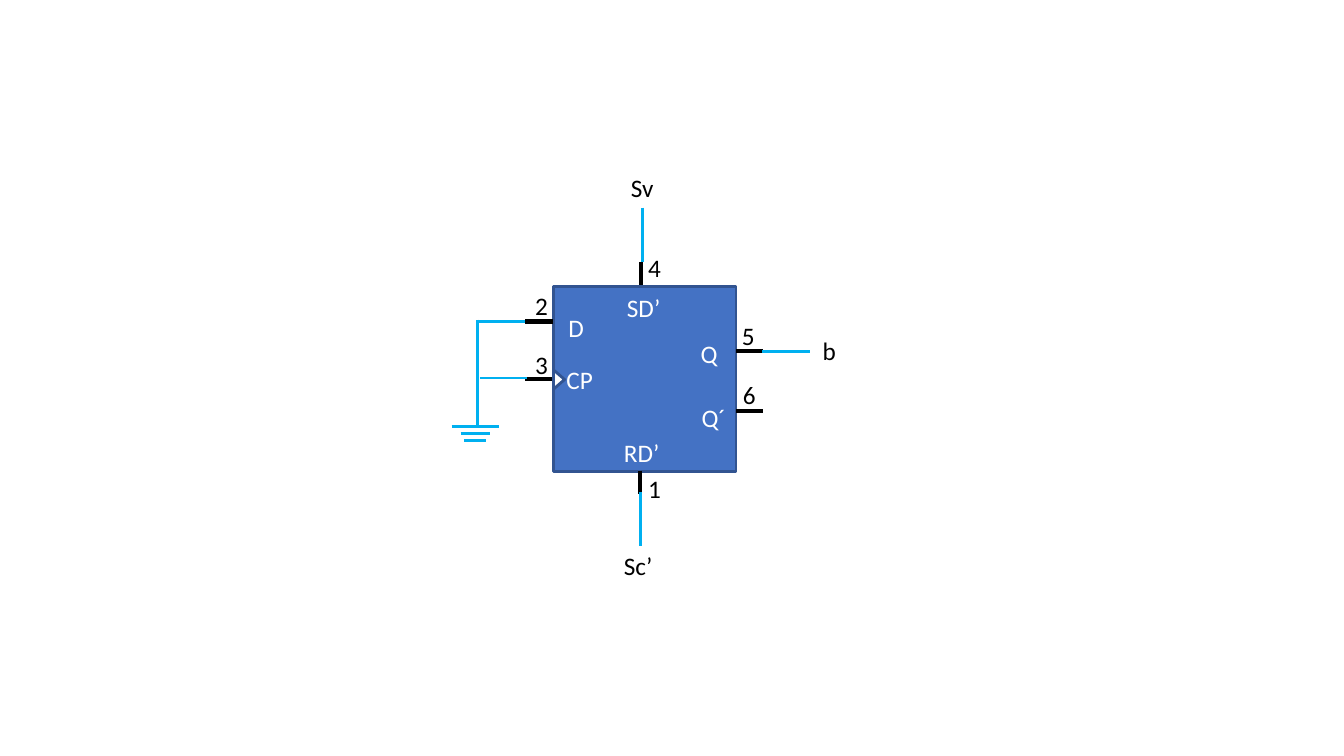
import pptx
import pptx.dml.color
import pptx.enum.shapes
import pptx.oxml
import pptx.util

SHAPE = pptx.enum.shapes.MSO_SHAPE
CELL = 0.1
BLUE, EDGE, WIRE, BLACK, WHITE = "4472C4", "325491", "00B0F0", "000000", "FFFFFF"


def color(value):
    return pptx.dml.color.RGBColor.from_string(value)


def grid(*cells):
    return [pptx.util.Inches(n * CELL) for n in cells]


class Diagram:
    font = "Calibri"
    size = 18

    def __init__(self, prs):
        self.s = prs.slides.add_slide(prs.slide_layouts[6])

    def shape(self, kind, col, row, cols, rows, fill, line, rotation=0):
        sp = self.s.shapes.add_shape(kind, *grid(col, row, cols, rows))
        sp.shadow.inherit = False
        sp.rotation = rotation
        sp.fill.solid()
        sp.fill.fore_color.rgb = color(fill)
        sp.line.color.rgb = color(line)
        sp.line.width = pptx.util.Pt(2)

    def line(self, col1, row1, col2, row2, stroke, width):
        sp = self.s.shapes.add_connector(
            pptx.enum.shapes.MSO_CONNECTOR.STRAIGHT, *grid(col1, row1, col2, row2))
        sp.line.color.rgb = color(stroke)
        sp.line.width = pptx.util.Pt(width)
        sp._element.spPr.append(pptx.oxml.parse_xml(
            '<a:effectLst xmlns:a="http://schemas.openxmlformats.org/drawingml/2006/main"/>'))

    def pin(self, *ends):
        self.line(*ends, BLACK, 3)

    def wire(self, *ends):
        self.line(*ends, WIRE, 2)

    def label(self, text, col, row, cols, ink):
        tf = self.s.shapes.add_textbox(*grid(col, row, cols, 4)).text_frame
        tf.word_wrap = True
        tf.text = text
        r = tf.paragraphs[0].runs[0]
        r.font.name = self.font
        r.font.size = pptx.util.Pt(self.size)
        r.font.color.rgb = color(ink)


prs = pptx.Presentation()
prs.slide_width = pptx.util.Inches(13.33)
prs.slide_height = pptx.util.Inches(7.5)
d = Diagram(prs)

d.shape(SHAPE.RECTANGLE, 54.9, 28.4, 18.1, 18.4, BLUE, EDGE)

for text, col, row in [("D", 55.4, 30.5), ("CP", 55.2, 35.7), ("Q", 68.5, 33.1),
                       ("Q´", 68.6, 39.4), ("SD’", 61.2, 28.5), ("RD’", 60.9, 42.9)]:
    d.label(text, col, row, 5.6, WHITE)

for col, row in [(52.1, 31.9), (52.1, 37.6), (73, 34.8), (73, 40.8)]:
    d.pin(col, row, col + 2.7, row)
for col, row in [(63.6, 26), (63.5, 46.7)]:
    d.pin(col, row, col, row + 2.3)

d.shape(SHAPE.ISOSCELES_TRIANGLE, 54.5, 37.1, 1.9, 1.1, WHITE, EDGE, 90)

for col, row in [(47.4, 31.9), (47.6, 37.5), (75.6, 34.9)]:
    d.wire(col, row, col + 4.7, row)
for col, row, length in [(47.4, 31.7, 10.6), (63.5, 48.8, 5.4), (63.7, 20.6, 5.4)]:
    d.wire(col, row, col, row + length)

ground = 47.15
for i, width in enumerate([4.7, 2.9, 2.2]):
    row = 42.3 + 0.7 * i
    d.wire(ground - width / 2, row, ground + width / 2, row)

for text, col, row in [("b", 80.6, 32.8), ("Sv", 61.6, 16.6), ("Sc’", 60.9, 54.1)]:
    d.label(text, col, row, 5.4, BLACK)

for number, col, row in [("1", 63.3, 46.5), ("2", 52.1, 28.3), ("3", 52.1, 34.2),
                         ("4", 63.3, 24.5), ("5", 72.6, 31.3), ("6", 72.7, 37.1)]:
    d.label(number, col, row, 3.4, BLACK)

prs.save("out.pptx")
